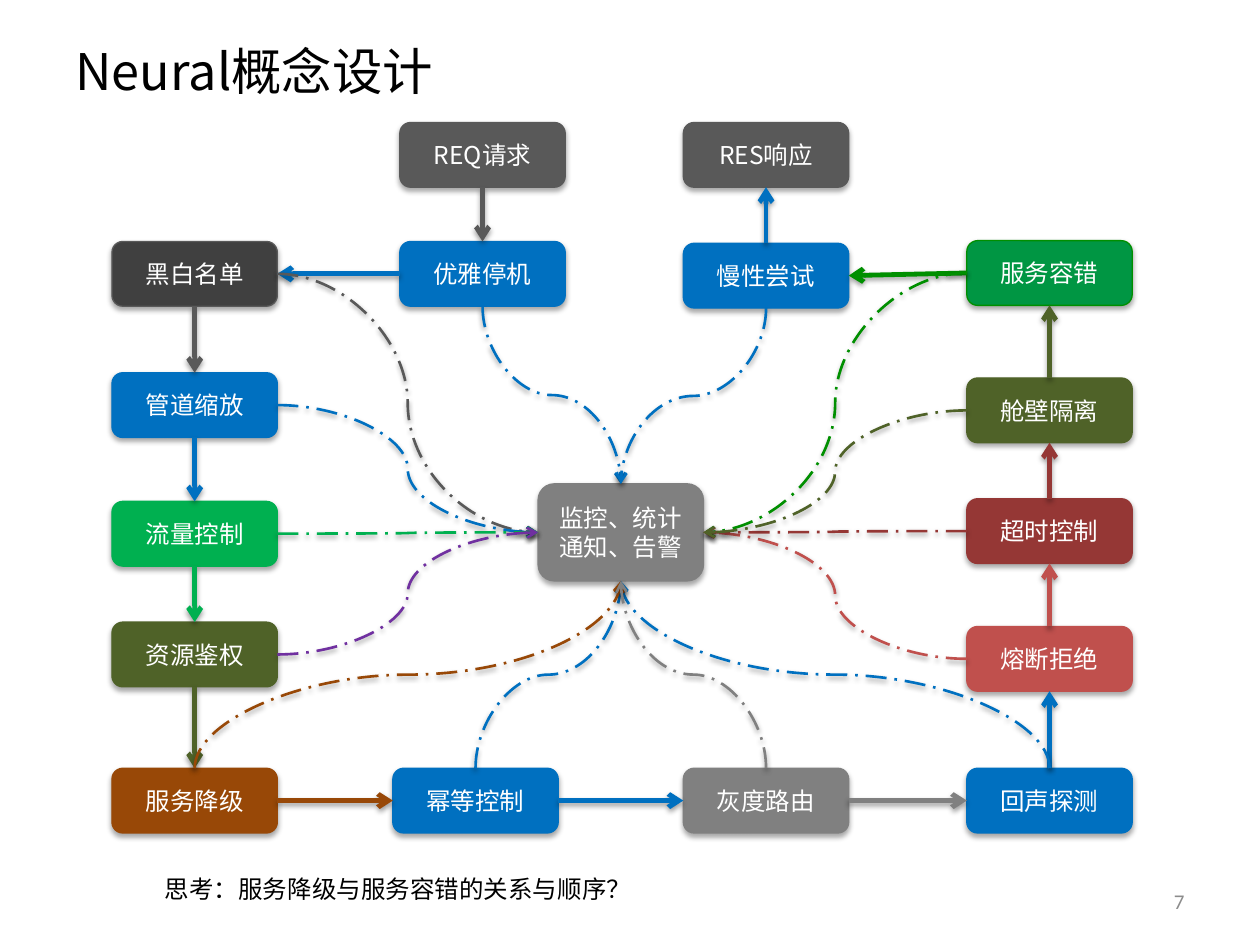
from dataclasses import dataclass

from lxml.etree import SubElement
from pptx import Presentation
from pptx.dml.color import RGBColor
from pptx.enum.dml import MSO_LINE
from pptx.enum.shapes import MSO_CONNECTOR, MSO_SHAPE
from pptx.enum.text import MSO_ANCHOR, MSO_AUTO_SIZE, PP_ALIGN
from pptx.oxml.ns import qn
from pptx.util import Pt


@dataclass(frozen=True)
class Theme:
    black: str = "000000"
    white: str = "FFFFFF"
    charcoal: str = "404040"
    slate: str = "595959"
    gray: str = "808080"
    pale_gray: str = "8C8C8C"
    blue: str = "0070C0"
    green: str = "00B050"
    deep_green: str = "009643"
    edge_green: str = "008F00"
    olive: str = "4F6228"
    brown: str = "984807"
    red: str = "C0504D"
    dark_red: str = "953735"
    purple: str = "7030A0"
    chinese: str = "Noto Sans CJK SC"
    latin: str = "Calibri"
    title_size: float = 28.8
    body_size: float = 14
    number_size: float = 12


THEME = Theme()
BOX_WIDTH, BOX_HEIGHT, HUB_HEIGHT = 94.5, 37, 55.5
LEFT, MIDDLE_LEFT, MIDDLE_RIGHT, RIGHT = 64, 228.5, 390.5, 552.5
BOTTOM_ROW = 439
TOP_SITE, LEFT_SITE, BOTTOM_SITE, RIGHT_SITE = range(4)

STEPS = [
    ("REQ请求", MIDDLE_LEFT, 70, THEME.slate),
    ("优雅停机", MIDDLE_LEFT, 138, THEME.blue),
    ("黑白名单", LEFT, 138, THEME.charcoal),
    ("管道缩放", LEFT, 213, THEME.blue),
    ("流量控制", LEFT, 286.5, THEME.green),
    ("资源鉴权", LEFT, 355.5, THEME.olive),
    ("服务降级", LEFT, BOTTOM_ROW, THEME.brown),
    ("幂等控制", 224.5, BOTTOM_ROW, THEME.blue),
    ("灰度路由", MIDDLE_RIGHT, BOTTOM_ROW, THEME.gray),
    ("回声探测", RIGHT, BOTTOM_ROW, THEME.blue),
    ("熔断拒绝", RIGHT, 358, THEME.red),
    ("超时控制", RIGHT, 285, THEME.dark_red),
    ("舱壁隔离", RIGHT, 216, THEME.olive),
    ("服务容错", RIGHT, 137.5, THEME.deep_green),
    ("慢性尝试", MIDDLE_RIGHT, 139, THEME.blue),
    ("RES响应", MIDDLE_RIGHT, 70, THEME.slate),
]
EDGES = {"黑白名单": THEME.slate, "服务容错": THEME.edge_green}
REPORT_COLORS = {"资源鉴权": THEME.purple}
REPORTS = [
    ("优雅停机", BOTTOM_SITE, TOP_SITE),
    ("黑白名单", RIGHT_SITE, LEFT_SITE),
    ("管道缩放", RIGHT_SITE, LEFT_SITE),
    ("流量控制", RIGHT_SITE, LEFT_SITE),
    ("幂等控制", TOP_SITE, BOTTOM_SITE),
    ("回声探测", TOP_SITE, BOTTOM_SITE),
    ("熔断拒绝", LEFT_SITE, RIGHT_SITE),
    ("服务容错", LEFT_SITE, RIGHT_SITE),
    ("超时控制", LEFT_SITE, RIGHT_SITE),
    ("慢性尝试", BOTTOM_SITE, TOP_SITE),
    ("资源鉴权", RIGHT_SITE, LEFT_SITE),
    ("服务降级", TOP_SITE, BOTTOM_SITE),
    ("灰度路由", TOP_SITE, BOTTOM_SITE),
    ("舱壁隔离", LEFT_SITE, RIGHT_SITE),
]


def write_text(frame, text, size=THEME.body_size, color=THEME.black, font=THEME.chinese,
               align=PP_ALIGN.LEFT, anchor=MSO_ANCHOR.MIDDLE, wrap=True):
    frame.word_wrap = wrap
    frame.vertical_anchor = anchor
    for index, line in enumerate(text.split("\n")):
        paragraph = frame.add_paragraph() if index else frame.paragraphs[0]
        paragraph.alignment = align
        run = paragraph.add_run()
        run.text = line
        run.font.size = Pt(size)
        run.font.color.rgb = RGBColor.from_string(color)
        run.font.name = font
        SubElement(run.font._element, qn("a:ea"), typeface=THEME.chinese)


def add_shadow(effects, opacity, distance):
    shadow = SubElement(effects, qn("a:outerShdw"), blurRad=str(Pt(3.1)),
                        dist=str(Pt(distance)), dir="5400000", rotWithShape="0")
    color = SubElement(shadow, qn("a:srgbClr"), val=THEME.black)
    SubElement(color, qn("a:alpha"), val=str(opacity * 1000))


def chain_sites(source, target):
    across, down = target.left - source.left, target.top - source.top
    if abs(across) > abs(down):
        return (RIGHT_SITE, LEFT_SITE) if across > 0 else (LEFT_SITE, RIGHT_SITE)
    return (BOTTOM_SITE, TOP_SITE) if down > 0 else (TOP_SITE, BOTTOM_SITE)


class Diagram:
    def __init__(self, slide, theme):
        self.slide = slide
        self.theme = theme

    def title(self, text):
        title = self.slide.shapes.title
        title.left, title.top, title.width, title.height = Pt(36), Pt(21.6), Pt(648), Pt(36.7)
        write_text(title.text_frame, text, size=self.theme.title_size)

    def text(self, text, left, top, width, height, **text_format):
        box = self.slide.shapes.add_textbox(Pt(left), Pt(top), Pt(width), Pt(height))
        write_text(box.text_frame, text, **text_format)
        return box

    def box(self, text, left, top, fill, edge=None, height=BOX_HEIGHT):
        shape = self.slide.shapes.add_shape(
            MSO_SHAPE.ROUNDED_RECTANGLE, Pt(left), Pt(top), Pt(BOX_WIDTH), Pt(height))
        shape.fill.solid()
        shape.fill.fore_color.rgb = RGBColor.from_string(fill)
        shape.line.color.rgb = RGBColor.from_string(edge or fill)
        shape.line.width = Pt(0.75)
        shape.shadow.inherit = False
        add_shadow(shape._element.spPr.find(qn("a:effectLst")), 35, 1.8)
        write_text(shape.text_frame, text, color=self.theme.white, align=PP_ALIGN.CENTER)
        return shape

    def link(self, kind, source, target, sites, color, width):
        connector = self.slide.shapes.add_connector(kind, 0, 0, 0, 0)
        connector.begin_connect(source, sites[0])
        connector.end_connect(target, sites[1])
        connector.line.color.rgb = RGBColor.from_string(color)
        connector.line.width = Pt(width)
        SubElement(connector.line._get_or_add_ln(), qn("a:tailEnd"), type="arrow")
        add_shadow(SubElement(connector._element.spPr, qn("a:effectLst")), 38, 1.6)
        return connector

    def arrow(self, source, target, color):
        self.link(MSO_CONNECTOR.STRAIGHT, source, target, chain_sites(source, target), color, 2.75)

    def curve(self, source, target, sites, color):
        connector = self.link(MSO_CONNECTOR.CURVE, source, target, sites, color, 1.5)
        connector.line.dash_style = MSO_LINE.LONG_DASH_DOT
        if sites[0] in (TOP_SITE, BOTTOM_SITE):
            self.turn_upright(connector)

    def turn_upright(self, connector):
        across = connector.end_x - connector.begin_x
        down = connector.end_y - connector.begin_y
        center_x = (connector.begin_x + connector.end_x) // 2
        center_y = (connector.begin_y + connector.end_y) // 2
        connector.width, connector.height = abs(down), abs(across)
        connector.left = center_x - abs(down) // 2
        connector.top = center_y - abs(across) // 2
        transform = connector._element.spPr.find(qn("a:xfrm"))
        transform.set("rot", str((90 if down > 0 else 270) * 60000))
        transform.set("flipH", "0")
        transform.set("flipV", "1" if (across > 0) == (down > 0) else "0")


def main():
    presentation = Presentation()
    presentation.slide_width, presentation.slide_height = Pt(720), Pt(540)
    slide = presentation.slides.add_slide(presentation.slide_layouts[5])
    diagram = Diagram(slide, THEME)
    diagram.title("Neural概念设计")
    diagram.text("7", 516.2, 500.4, 167.8, 28.8, size=THEME.number_size,
                 color=THEME.pale_gray, font=THEME.latin, align=PP_ALIGN.RIGHT)

    boxes = {}
    colors = {}
    for name, left, top, fill in STEPS:
        colors[name] = EDGES.get(name, fill)
        boxes[name] = diagram.box(name, left, top, fill, colors[name])
    hub = diagram.box("监控、统计\n通知、告警", 307.5, 276.5, THEME.gray, height=HUB_HEIGHT)

    names = list(boxes)
    for source, target in zip(names, names[1:]):
        diagram.arrow(boxes[source], boxes[target], colors[source])
    for name, *sites in REPORTS:
        diagram.curve(boxes[name], hub, sites, REPORT_COLORS.get(name, colors[name]))

    question = diagram.text("思考：服务降级与服务容错的关系与顺序？", 87.1, 496, 283, 24.5,
                            font=THEME.latin, anchor=MSO_ANCHOR.TOP, wrap=False)
    question.text_frame.auto_size = MSO_AUTO_SIZE.SHAPE_TO_FIT_TEXT
    presentation.save("out.pptx")


if __name__ == "__main__":
    main()
